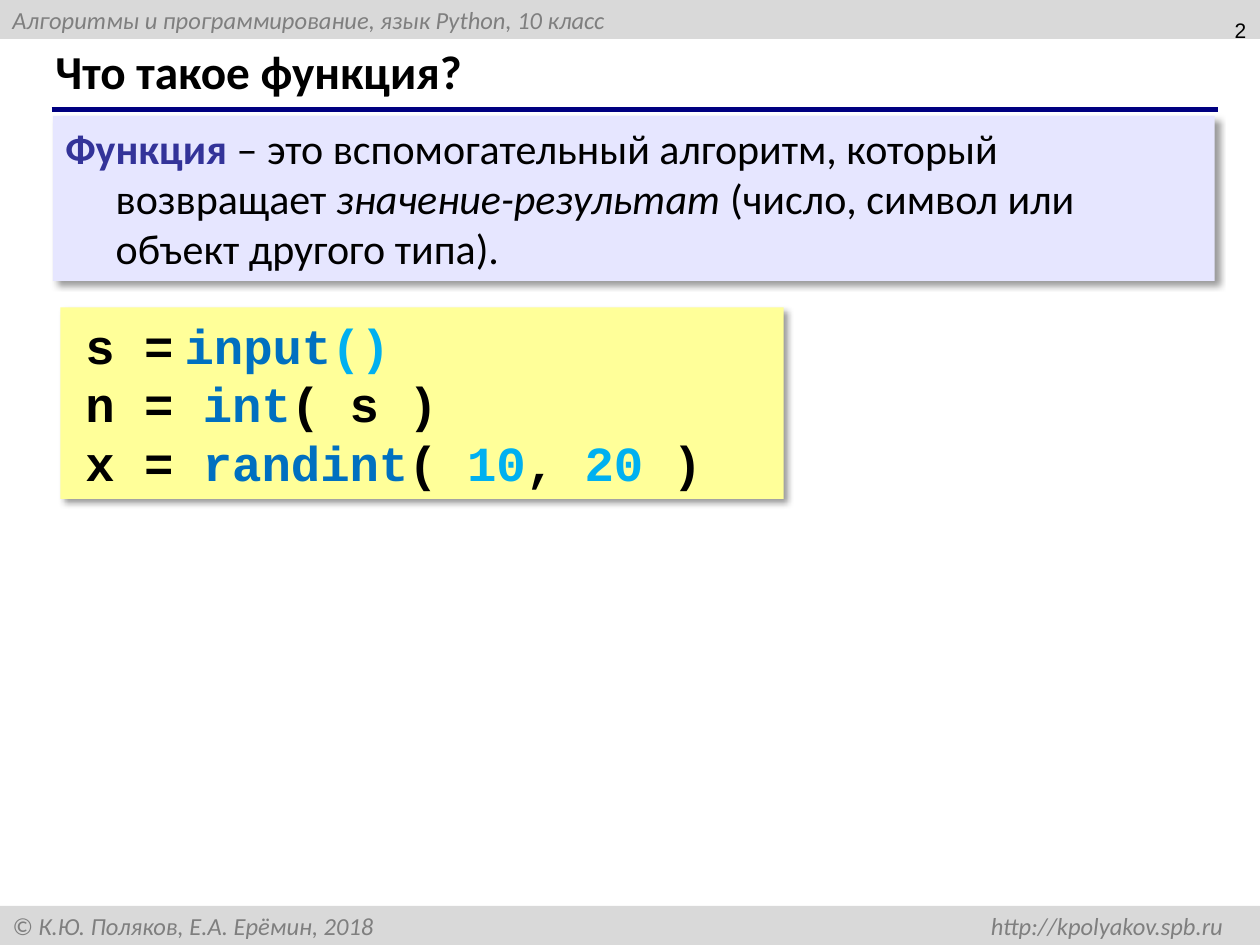
from lxml import etree
from pptx import Presentation
from pptx.dml.color import RGBColor
from pptx.enum.shapes import MSO_CONNECTOR, MSO_SHAPE
from pptx.enum.text import MSO_ANCHOR, MSO_AUTO_SIZE, PP_ALIGN
from pptx.oxml.ns import qn
from pptx.util import Inches, Pt

LEFT, RIGHT = PP_ALIGN.LEFT, PP_ALIGN.RIGHT
TOP, MIDDLE = MSO_ANCHOR.TOP, MSO_ANCHOR.MIDDLE
RECTANGLE = MSO_SHAPE.RECTANGLE
BLACK, GRAY, BAND = "000000", "7F7F7F", "D9D9D9"
NAME, VALUE, TERM = "0070C0", "00B0F0", "333399"


def color(hex_text):
    return RGBColor.from_string(hex_text)


def set_font(font, name, size, hex_text, bold=False, italic=False):
    font.name, font.size = name, Pt(size)
    font.bold, font.italic = bold, italic
    font.color.rgb = color(hex_text)


def add_child(parent, tag, **attributes):
    child = etree.SubElement(parent, qn(tag))
    for key, value in attributes.items():
        child.set(key, str(value))
    return child


def add_panel(page, box, fill, anchor):
    panel = page.shapes.add_shape(RECTANGLE, *map(Inches, box))
    panel.shadow.inherit = False
    panel.fill.solid()
    panel.fill.fore_color.rgb = color(fill)
    panel.line.fill.background()
    frame = panel.text_frame
    frame.word_wrap = True
    frame.vertical_anchor = anchor
    frame.paragraphs[0].alignment = LEFT
    return panel


def add_shadow(panel):
    effects = panel._element.spPr.find(qn("a:effectLst"))
    shadow = add_child(effects, "a:outerShdw", blurRad=Pt(4), dist=Pt(3),
                       dir=45 * 60000, algn="tl", rotWithShape=0)
    shade = add_child(shadow, "a:srgbClr", val=BLACK)
    add_child(shade, "a:alpha", val=40000)


def indent(para, margin, first_line):
    properties = para._p.get_or_add_pPr()
    properties.set("marL", str(Inches(margin)))
    properties.set("indent", str(Inches(first_line)))


def add_band(page, box, text, tab=None):
    para = add_panel(page, box, BAND, MIDDLE).text_frame.paragraphs[0]
    para.text = text
    set_font(para.font, "Calibri", 14, GRAY, italic=True)
    if tab:
        tabs = etree.Element(qn("a:tabLst"))
        add_child(tabs, "a:tab", pos=Inches(tab), algn="r")
        para._p.get_or_add_pPr().insert(0, tabs)


def add_heading(page, box, text):
    left, top, width, height = box
    # Rule under the title
    rule_y = Inches(top + height + 0.02)
    rule = page.shapes.add_connector(MSO_CONNECTOR.STRAIGHT, Inches(left + 0.07),
                                     rule_y, Inches(left + width + 0.17), rule_y)
    rule.line.color.rgb = color("000080")
    rule.line.width = Pt(3)
    add_child(rule._element.spPr, "a:effectLst")
    # Title
    title = page.shapes.title
    title.left, title.top, title.width, title.height = map(Inches, box)
    frame = title.text_frame
    frame.text = text
    frame.auto_size = MSO_AUTO_SIZE.NONE
    frame.vertical_anchor = MIDDLE
    para = frame.paragraphs[0]
    para.alignment, para.line_spacing = LEFT, 0.9
    set_font(para.font, "Calibri", 27, BLACK, bold=True)


def add_page_number(page, box, number):
    frame = page.shapes.add_textbox(*map(Inches, box)).text_frame
    frame.word_wrap = True
    frame.vertical_anchor = MIDDLE
    para = frame.paragraphs[0]
    para.text, para.alignment = number, RIGHT
    set_font(para.font, "Arial", 12, BLACK)


def add_definition(page, box, parts):
    panel = add_panel(page, box, "E6E6FF", TOP)
    add_shadow(panel)
    panel.text_frame.auto_size = MSO_AUTO_SIZE.SHAPE_TO_FIT_TEXT
    para = panel.text_frame.paragraphs[0]
    indent(para, 0.4, -0.4)
    for text, hex_text, bold, italic in parts:
        span = para.add_run()
        span.text = text
        set_font(span.font, "Calibri", 24, hex_text, bold, italic)


def add_code(page, box, lines):
    panel = add_panel(page, box, "FFFF99", MIDDLE)
    add_shadow(panel)
    frame = panel.text_frame
    frame.auto_size = MSO_AUTO_SIZE.SHAPE_TO_FIT_TEXT
    for number, line in enumerate(lines):
        para = frame.add_paragraph() if number else frame.paragraphs[0]
        para.alignment = LEFT
        indent(para, 0, 0.1)
        for text, hex_text in line:
            span = para.add_run()
            span.text = text
            # A lone space is set narrow
            font_name = "Courier New" if text.strip() else "Calibri"
            set_font(span.font, font_name, 28, hex_text, bold=True)


deck = Presentation()
deck.slide_width, deck.slide_height = Inches(10), Inches(7.5)
page = deck.slides.add_slide(deck.slide_layouts[5])

add_band(page, (0, 0, 10, 0.31),
         "Алгоритмы и программирование, язык Python, 10 класс")
add_band(page, (0, 7.19, 10, 0.31),
         "© К.Ю. Поляков, Е.А. Ерёмин, 2018 \thttp://kpolyakov.spb.ru", tab=9.61)
add_heading(page, (0.34, 0.33, 9.16, 0.52), "Что такое функция?")
add_page_number(page, (7.66, -0.02, 2.33, 0.52), "2")
add_definition(page, (0.42, 0.92, 9.22, 1.31), [
    ("Функция", TERM, True, False),
    (" – это вспомогательный алгоритм, который возвращает ", BLACK, False, False),
    ("значение-результат", BLACK, False, True),
    (" (число, символ или объект другого типа).", BLACK, False, False),
])
add_code(page, (0.48, 2.44, 5.74, 1.52), [
    [("s =", BLACK), (" ", BLACK), ("input", NAME), ("()", VALUE)],
    [("n = ", BLACK), ("int", NAME), ("( s )", BLACK)],
    [("x = ", BLACK), ("randint", NAME), ("( ", BLACK), ("10", VALUE),
     (", ", BLACK), ("20", VALUE), (" )", BLACK)],
])

deck.save("out.pptx")
